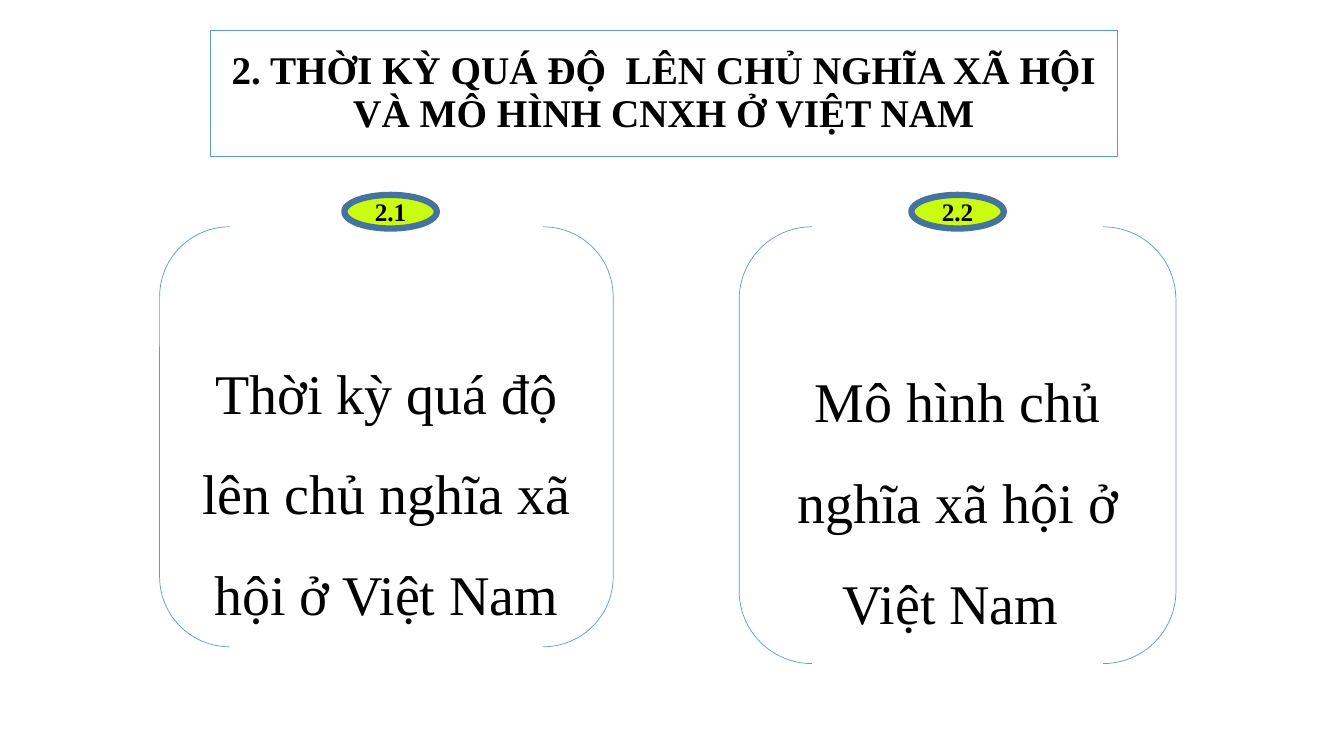
from pptx import Presentation, util as u
from pptx.dml.color import RGBColor
from pptx.enum import shapes, text

WIDTH, HEIGHT = u.Inches(13.33), u.Inches(7.5)
COLUMN, ROW = WIDTH / 160, HEIGHT / 90
BLUE = RGBColor(0x5B, 0x9B, 0xD5)
DARK_BLUE = RGBColor(0x43, 0x73, 0x9E)
LIME = RGBColor(0xC9, 0xFC, 0x10)
BLACK = RGBColor(0, 0, 0)
FONT = "Times New Roman"

HEADING = "2. THỜI KỲ QUÁ ĐỘ  LÊN CHỦ NGHĨA XÃ HỘI VÀ MÔ HÌNH CNXH Ở VIỆT NAM"
TOPICS = [
    ("2.1", (41, 23.2, 11, 4), "Thời kỳ quá độ lên chủ nghĩa xã hội ở Việt Nam", (19, 27, 54, 50)),
    ("2.2", (108.5, 23.2, 11, 4), "Mô hình chủ nghĩa xã hội ở Việt Nam ", (88, 27, 52, 52)),
]


def grid(left, top, width, height):
    return [int(v) for v in (left * COLUMN, top * ROW, width * COLUMN, height * ROW)]


def outline(shape, color, weight):
    shape.line.color.rgb = color
    shape.line.width = u.Pt(weight)


def write(shape, words, size, bold=False, spacing=1.0):
    frame = shape.text_frame
    frame.text = words
    frame.word_wrap = True
    frame.auto_size = text.MSO_AUTO_SIZE.NONE
    frame.vertical_anchor = text.MSO_ANCHOR.MIDDLE
    paragraph = frame.paragraphs[0]
    paragraph.alignment = text.PP_ALIGN.CENTER
    paragraph.line_spacing = spacing
    font = paragraph.runs[0].font
    font.name, font.size, font.bold = FONT, u.Pt(size), bold
    font.color.rgb = BLACK


def add_heading(slide):
    heading = slide.shapes.title
    heading.left, heading.top, heading.width, heading.height = grid(25, 3.6, 108, 15)
    outline(heading, BLUE, 0.5)
    write(heading, HEADING, 28, bold=True, spacing=0.9)


def add_bracket(slide, words, place):
    bracket = slide.shapes.add_shape(shapes.MSO_SHAPE.DOUBLE_BRACKET, *grid(*place))
    bracket.shadow.inherit = False
    bracket.fill.background()
    outline(bracket, BLUE, 0.5)
    write(bracket, words, 40, spacing=1.5)
    bracket.text_frame.margin_top = u.Inches(0.82)


def add_badge(slide, number, place):
    badge = slide.shapes.add_shape(shapes.MSO_SHAPE.OVAL, *grid(*place))
    badge.shadow.inherit = False
    badge.fill.solid()
    badge.fill.fore_color.rgb = LIME
    outline(badge, DARK_BLUE, 4.5)
    write(badge, number, 18, bold=True)


def main():
    deck = Presentation()
    deck.slide_width, deck.slide_height = WIDTH, HEIGHT
    slide = deck.slides.add_slide(deck.slide_layouts[5])
    add_heading(slide)
    for number, badge_place, topic, bracket_place in TOPICS:
        add_bracket(slide, topic, bracket_place)
        add_badge(slide, number, badge_place)
    deck.save("out.pptx")


if __name__ == "__main__":
    main()
